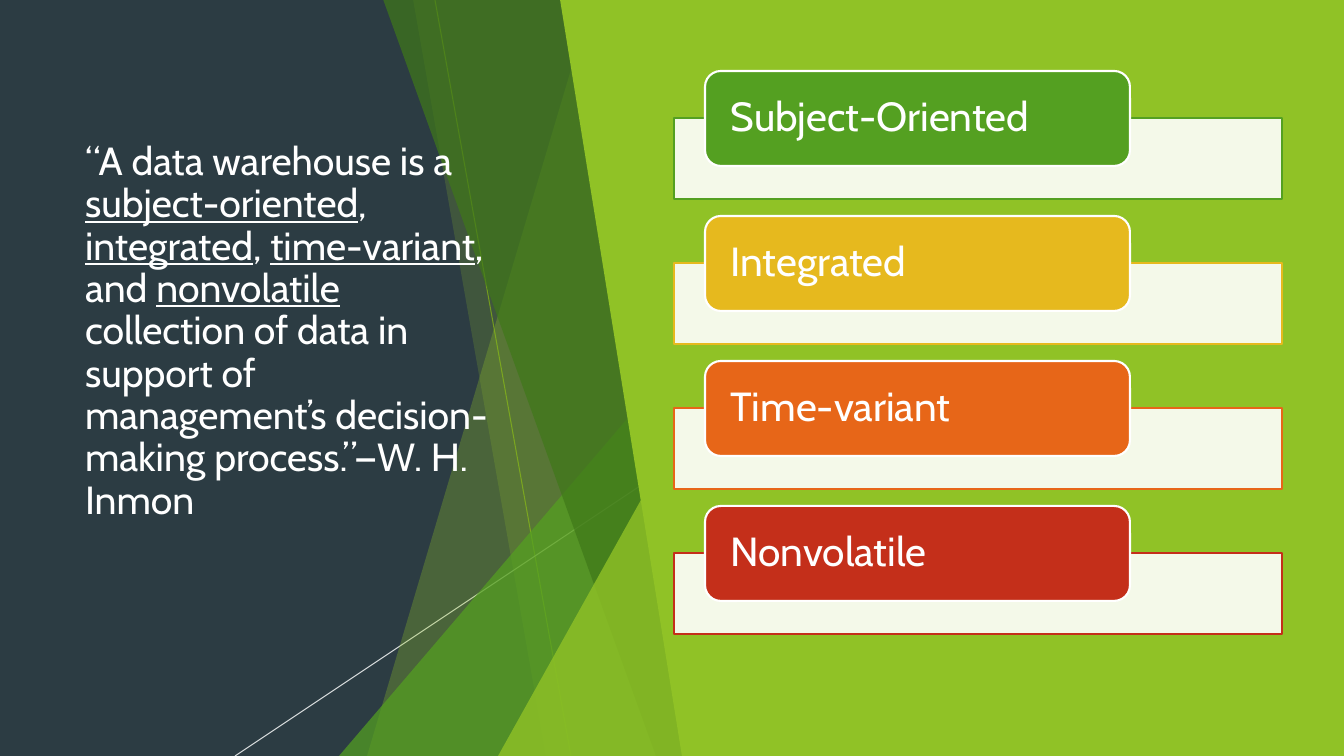
from dataclasses import dataclass

from lxml.etree import SubElement
from pptx import Presentation
from pptx.dml.color import RGBColor
from pptx.enum.shapes import MSO_CONNECTOR, MSO_SHAPE
from pptx.enum.text import MSO_ANCHOR, MSO_AUTO_SIZE, PP_ALIGN
from pptx.oxml.ns import qn
from pptx.util import Pt

EMU_PER_PX = 914400 / 100.8
WIDTH, HEIGHT = 1344, 756


def px(n):
    return round(n * EMU_PER_PX)


@dataclass(frozen=True)
class Theme:
    font: str = "Cabin"
    title_size: int = 28
    label_size: int = 29
    white: str = "FFFFFF"
    dark: str = "2C3C43"
    lime: str = "90C226"
    green: str = "54A021"
    forest: str = "3F7819"
    olive: str = "6C921D"
    gold: str = "E6B91E"
    orange: str = "E76618"
    red: str = "C42F1A"


class Deck:
    def __init__(self, theme):
        self.theme = theme
        self.prs = Presentation()
        self.prs.slide_width, self.prs.slide_height = px(WIDTH), px(HEIGHT)
        self.s = self.prs.slides.add_slide(self.prs.slide_layouts[5])
        self.paint(self.s.background.fill, theme.dark)

    def paint(self, fill, color, alpha=100):
        fill.solid()
        fill.fore_color.rgb = RGBColor.from_string(color)
        if alpha < 100:
            clr = fill.fore_color._xFill.find(qn("a:srgbClr"))
            SubElement(clr, qn("a:alpha")).set("val", str(alpha * 1000))

    def finish(self, sp, color, alpha, line):
        sp.shadow.inherit = False
        self.paint(sp.fill, color, alpha)
        if line:
            self.paint(sp.line.fill, line)
            sp.line.width = Pt(1.5)
        else:
            sp.line.fill.background()
        return sp

    def shape(self, kind, x, y, w, h, color, alpha=100, line=None):
        sp = self.s.shapes.add_shape(kind, px(x), px(y), px(w), px(h))
        return self.finish(sp, color, alpha, line)

    def right_triangle(self, x, y, w, h, color, alpha):
        sp = self.shape(MSO_SHAPE.ISOSCELES_TRIANGLE, x, y, w, h, color, alpha)
        sp.adjustments[0] = 1

    def polygon(self, points, color, alpha=100):
        pts = [(px(x), px(y)) for x, y in points]
        fb = self.s.shapes.build_freeform(*pts[0])
        fb.add_line_segments(pts[1:], close=True)
        self.finish(fb.convert_to_shape(), color, alpha, None)

    def line(self, x1, y1, x2, y2, color, alpha=100):
        c = self.s.shapes.add_connector(
            MSO_CONNECTOR.STRAIGHT, px(x1), px(y1), px(x2), px(y2))
        self.paint(c.line.fill, color, alpha)
        c.line.width = Pt(0.75)
        SubElement(c._element.spPr, qn("a:effectLst"))

    def style(self, p, size):
        p.alignment = PP_ALIGN.LEFT
        p.line_spacing = 0.9
        p.font.name, p.font.size = self.theme.font, Pt(size)
        p.font.color.rgb = RGBColor.from_string(self.theme.white)

    def title(self, x, y, w, h, runs, bottom):
        sp = self.s.shapes.title
        sp.left, sp.top, sp.width, sp.height = px(x), px(y), px(w), px(h)
        self.s.shapes._spTree.append(sp._element)  # bring to front
        tf = sp.text_frame
        tf.word_wrap, tf.auto_size = True, MSO_AUTO_SIZE.NONE
        tf.vertical_anchor = MSO_ANCHOR.MIDDLE
        tf.margin_bottom = px(bottom)
        p = tf.paragraphs[0]
        self.style(p, self.theme.title_size)
        for text, underlined in runs:
            r = p.add_run()
            r.text = text
            if underlined:
                r.font.underline = True

    def card(self, y, label, color):
        self.shape(MSO_SHAPE.RECTANGLE, 674, y + 47, 608, 81,
                   self.theme.white, 90, color)
        tab = self.shape(MSO_SHAPE.ROUNDED_RECTANGLE, 705, y, 425, 95,
                         color, line=self.theme.white)
        tf = tab.text_frame
        tf.word_wrap = True
        tf.vertical_anchor = MSO_ANCHOR.MIDDLE
        tf.margin_left = tf.margin_right = px(21)
        tf.margin_top = tf.margin_bottom = 0
        p = tf.paragraphs[0]
        p.text = label
        self.style(p, self.theme.label_size)


def main():
    t = Theme()
    deck = Deck(t)

    # Faceted backdrop
    deck.line(435, 0, 571, HEIGHT, t.olive)
    deck.line(760, 406, 235, HEIGHT, t.white, 80)

    def facet(top, bottom, color, alpha):
        deck.polygon([(top, -1), (698, -1), (698, HEIGHT), (bottom, HEIGHT)],
                     color, alpha)

    facet(592, 367, t.lime, 30)
    facet(413, 546, t.lime, 20)
    deck.right_triangle(339, 336, 359, 420, t.green, 72)
    facet(383, 656, t.forest, 70)
    deck.right_triangle(498, 396, 201, 360, t.lime, 80)

    # Quotation
    deck.title(75, 68, 423, 570, [
        ("“A data warehouse is a ", False),
        ("subject-oriented", True),
        (",", False),
        (" integrated", True),
        (", ", False),
        ("time-variant", True),
        (", and ", False),
        ("nonvolatile", True),
        (" collection of data in support of management’s "
         "decision-making process.”—W. H. Inmon", False),
    ], bottom=47)

    # Right panel
    deck.polygon([(560, -1), (698, -1), (698, 0), (WIDTH, 0),
                  (WIDTH, HEIGHT), (682, HEIGHT)], t.lime)

    # Four characteristics
    cards = [("Subject-Oriented", t.green), ("Integrated", t.gold),
             ("Time-variant", t.orange), ("Nonvolatile", t.red)]
    for i, (label, color) in enumerate(cards):
        deck.card(71 + 145 * i, label, color)

    deck.prs.save("out.pptx")


if __name__ == "__main__":
    main()
